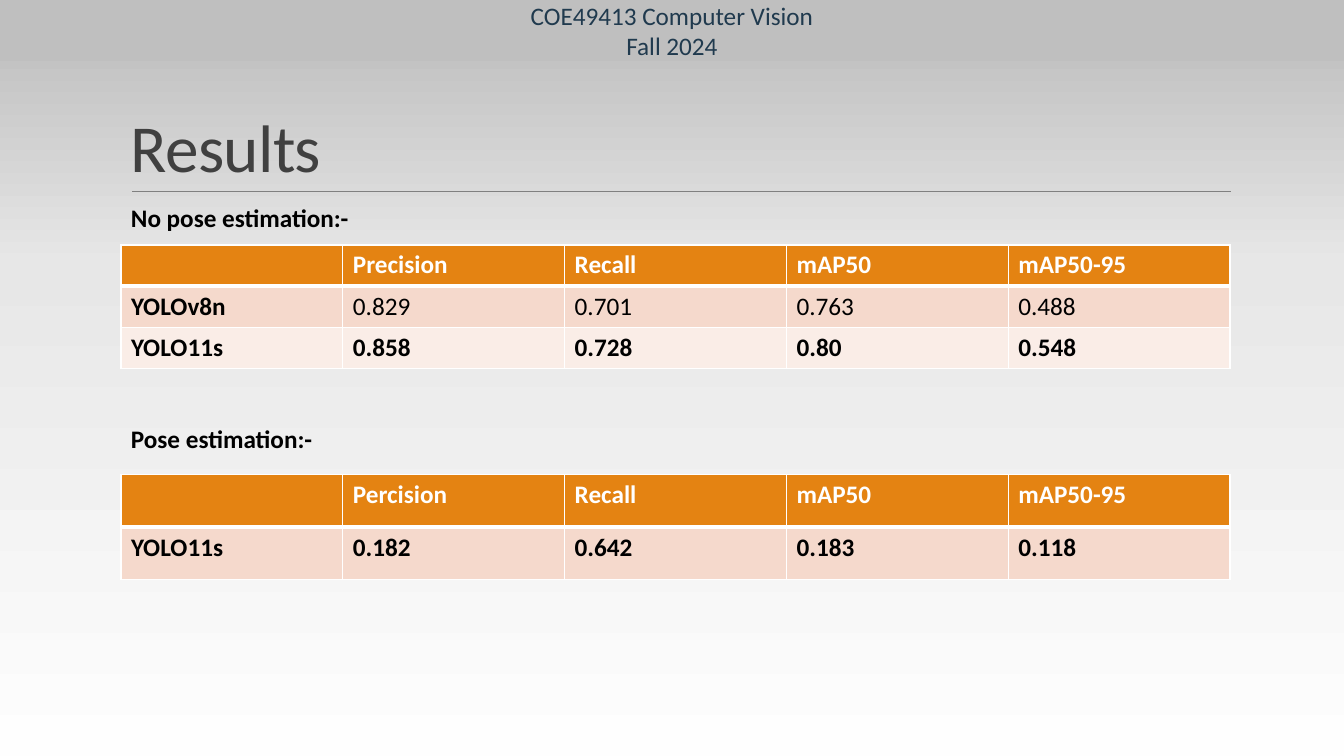
import copy

import pptx
import pptx.dml.color
import pptx.enum.shapes
import pptx.enum.text
import pptx.oxml
import pptx.oxml.ns
import pptx.util

Inches = pptx.util.Inches
Pt = pptx.util.Pt
qn = pptx.oxml.ns.qn
ANCHOR = pptx.enum.text.MSO_ANCHOR
ALIGN = pptx.enum.text.PP_ALIGN

COLORS = {
    "header_band": "BFBFBF", "course": "203A4E", "title": "404040",
    "rule": "808080", "text": "000000", "white": "FFFFFF",
    "table_head": "E48312", "odd_row": "F5D9CC", "even_row": "FAEDE7",
}
BACKGROUND_STOPS = [(0, "FEFEFE"), (0.65, "E7E7E7"), (1, "B9B9B9")]
FONT = "Calibri"
LEFT, WIDTH = 1.2, 11
BEST_MODEL = "YOLO11s"

NO_POSE_RESULTS = [
    ["", "Precision", "Recall", "mAP50", "mAP50-95"],
    ["YOLOv8n", "0.829", "0.701", "0.763", "0.488"],
    ["YOLO11s", "0.858", "0.728", "0.80", "0.548"],
]
POSE_RESULTS = [
    ["", "Percision", "Recall", "mAP50", "mAP50-95"],
    ["YOLO11s", "0.182", "0.642", "0.183", "0.118"],
]


def rgb(name):
    return pptx.dml.color.RGBColor.from_string(COLORS[name])


def write(paragraph, text, color, size=18, bold=False):
    run = paragraph.add_run()
    run.text = text
    font_format = {"name": FONT, "size": Pt(size), "bold": bold}
    for attribute, value in font_format.items():
        setattr(run.font, attribute, value)
    run.font.color.rgb = rgb(color)
    return run


def paint_background(slide):
    fill = slide.background.fill
    fill.gradient()
    fill.gradient_angle = 90
    stop_list = next(slide.element.iter(qn("a:gsLst")))
    stop_list.append(copy.deepcopy(stop_list[-1]))
    for stop, (position, color) in zip(fill.gradient_stops, BACKGROUND_STOPS):
        stop.position = position
        stop.color.rgb = pptx.dml.color.RGBColor.from_string(color)


def add_course_band(slide, lines):
    band = slide.shapes.add_shape(
        pptx.enum.shapes.MSO_SHAPE.RECTANGLE, 0, 0, Inches(13.33), Inches(0.6))
    band.shadow.inherit = False
    band.fill.solid()
    band.fill.fore_color.rgb = rgb("header_band")
    band.line.color.rgb = rgb("header_band")
    band.line.width = Pt(1.25)
    frame = band.text_frame
    frame.vertical_anchor = ANCHOR.MIDDLE
    for index, line in enumerate(lines):
        paragraph = frame.add_paragraph() if index else frame.paragraphs[0]
        paragraph.alignment = ALIGN.CENTER
        write(paragraph, line, "course")


def add_title_rule(slide):
    rule = slide.shapes.add_connector(
        pptx.enum.shapes.MSO_CONNECTOR.STRAIGHT,
        Inches(1.31), Inches(1.9), Inches(12.21), Inches(1.9))
    rule.line.color.rgb = rgb("rule")
    rule.line.width = Pt(0.5)
    properties = rule.element.find(qn("p:spPr"))
    properties.append(pptx.oxml.parse_xml(
        f'<a:effectLst {pptx.oxml.ns.nsdecls("a")}/>'))


def add_text(slide, top, width, height, anchor=ANCHOR.TOP):
    """Add an empty text box at the left margin and return its paragraph."""
    box = slide.shapes.add_textbox(
        Inches(LEFT), Inches(top), Inches(width), Inches(height))
    box.text_frame.word_wrap = True
    box.text_frame.vertical_anchor = anchor
    return box.text_frame.paragraphs[0]


def add_title(slide, text):
    paragraph = add_text(slide, 0.31, WIDTH, 1.59, ANCHOR.BOTTOM)
    paragraph.line_spacing = 0.85
    title = write(paragraph, text, "title", size=48)
    title.font._element.set("spc", "-50")


def add_section_label(slide, text, top):
    write(add_text(slide, top, 2.91, 0.4), text, "text", bold=True)


def add_borders(cell, widths):
    """Draw white cell borders; widths maps sides L, R, T, B to points."""
    properties = cell._tc.get_or_add_tcPr()
    for side, points in widths.items():
        properties.append(pptx.oxml.parse_xml(
            f'<a:ln{side} {pptx.oxml.ns.nsdecls("a")} w="{Pt(points)}">'
            f'<a:solidFill><a:srgbClr val="{COLORS["white"]}"/></a:solidFill>'
            f'</a:ln{side}>'))


def add_results_table(slide, results, top, row_height):
    row_count, column_count = len(results), len(results[0])
    table = slide.shapes.add_table(
        row_count, column_count, Inches(LEFT), Inches(top),
        Inches(WIDTH), Inches(row_height * row_count)).table
    for column in table.columns:
        column.width = Inches(WIDTH / column_count)
    for row_index, values in enumerate(results):
        table.rows[row_index].height = Inches(row_height)
        is_head = row_index == 0
        if is_head:
            fill = "table_head"
        else:
            fill = "odd_row" if row_index % 2 else "even_row"
        borders = {"L": 1, "R": 1, "T": 3 if row_index == 1 else 1,
                   "B": 3 if is_head else 1}
        for column_index, value in enumerate(values):
            cell = table.cell(row_index, column_index)
            add_borders(cell, borders)
            cell.fill.solid()
            cell.fill.fore_color.rgb = rgb(fill)
            if value:
                bold = is_head or column_index == 0 or values[0] == BEST_MODEL
                write(cell.text_frame.paragraphs[0], value,
                      "white" if is_head else "text", bold=bold)


def main():
    deck = pptx.Presentation()
    deck.slide_width, deck.slide_height = Inches(13.33), Inches(7.5)
    slide = deck.slides.add_slide(deck.slide_layouts[6])
    paint_background(slide)
    add_title_rule(slide)
    add_course_band(slide, ["COE49413 Computer Vision", "Fall 2024"])
    add_title(slide, "Results")
    add_section_label(slide, "No pose estimation:-", 1.96)
    add_results_table(slide, NO_POSE_RESULTS, 2.43, 0.41)
    add_section_label(slide, "Pose estimation:-", 4.15)
    add_results_table(slide, POSE_RESULTS, 4.71, 0.52)
    deck.save("out.pptx")


if __name__ == "__main__":
    main()
